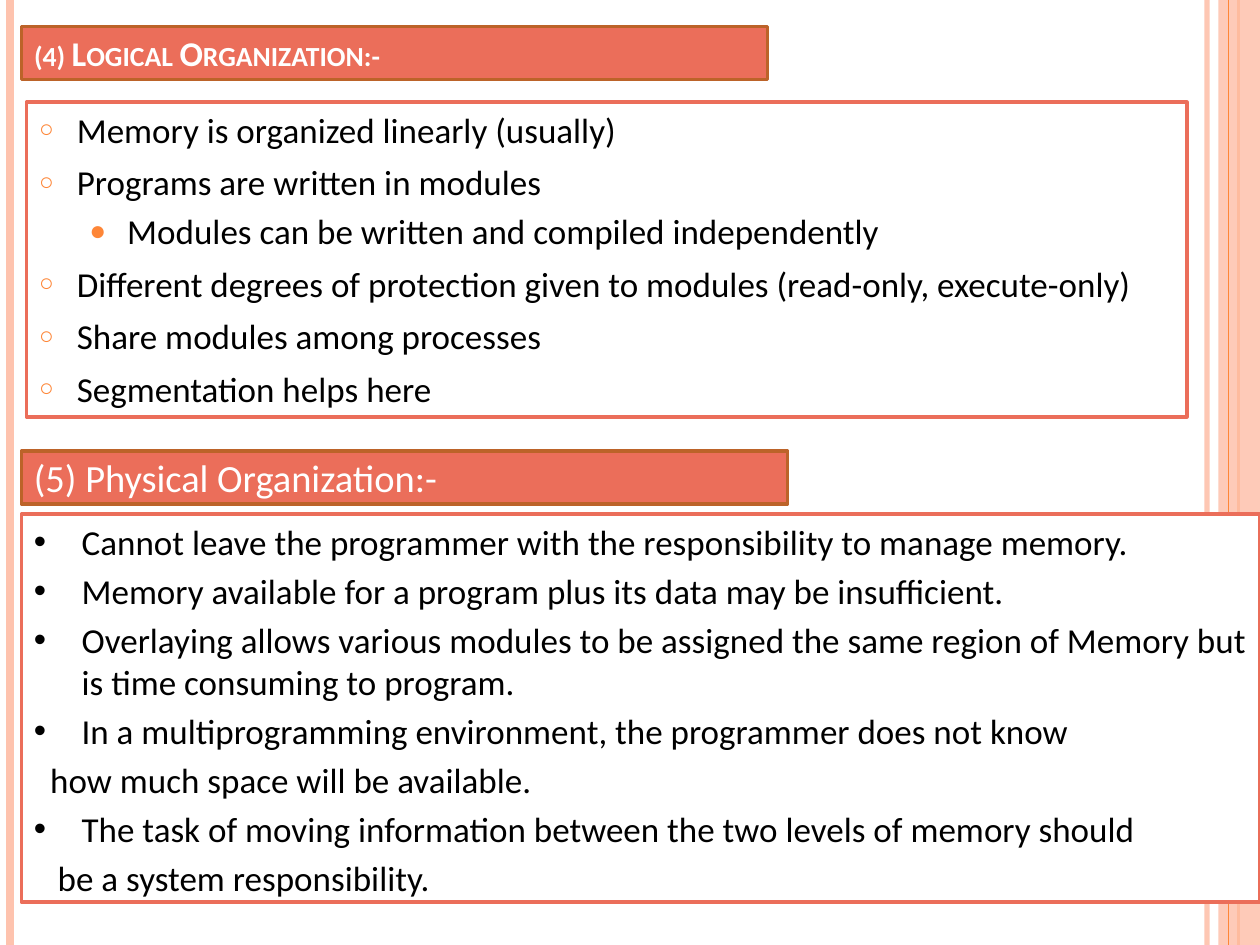
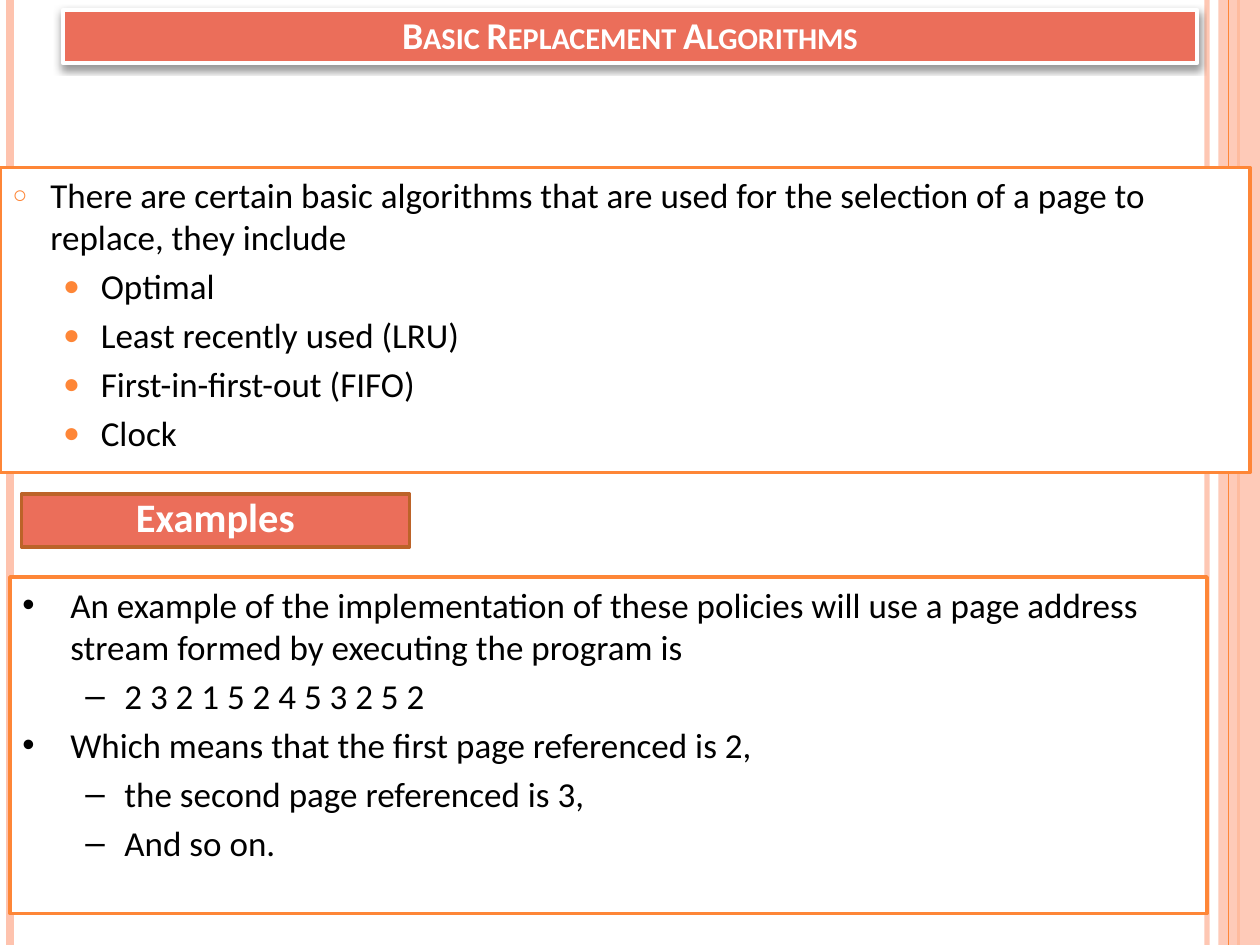
from lxml import etree
from pptx import Presentation
from pptx.dml.color import RGBColor
from pptx.enum.shapes import MSO_CONNECTOR, MSO_SHAPE
from pptx.enum.text import MSO_ANCHOR, MSO_AUTO_SIZE, PP_ALIGN
from pptx.oxml.ns import qn
from pptx.util import Inches, Pt

STRAIGHT, RECT = MSO_CONNECTOR.STRAIGHT, MSO_SHAPE.RECTANGLE
LEFT, CENTER = PP_ALIGN.LEFT, PP_ALIGN.CENTER
TOP, MIDDLE, BOTTOM = MSO_ANCHOR.TOP, MSO_ANCHOR.MIDDLE, MSO_ANCHOR.BOTTOM

WHITE = RGBColor(0xFF, 0xFF, 0xFF)
BLACK = RGBColor(0x00, 0x00, 0x00)
PEACH = RGBColor(0xFE, 0xC3, 0xAE)
ORANGE = RGBColor(0xFE, 0x86, 0x37)
CORAL = RGBColor(0xEB, 0x6E, 0x5A)
BROWN = RGBColor(0xBC, 0x63, 0x29)
FONT = "Calibri"
SLIDE_W, SLIDE_H = 10, 7.5

# level, left margin, first-line indent, space before, bullet, colour, size %
STYLES = {
    "ring": (0, 0.3, -0.3, 6, "○", ORANGE, 70),
    "disc": (1, 0.7, -0.3, 4, "●", ORANGE, 80),
    "dot": (0, 0.38, -0.38, 4, "•", BLACK, 100),
    "dash": (1, 0.81, -0.31, 4, "–", BLACK, 100),
    "plain": (0, 0.13, 0, 4, None, None, None),
    "plain wide": (0, 0.19, 0, 4, None, None, None),
}


def add_xml(parent, tag, **attrs):
    return etree.SubElement(parent, qn(tag), {k: str(v) for k, v in attrs.items()})


def set_alpha(color_format_parent, percent):
    for clr in color_format_parent.iter(qn("a:srgbClr")):
        add_xml(clr, "a:alpha", val=percent * 1000)


def add_side_bands(slide, layout):
    """Draw the vertical bands and move them to the layout, behind all content."""
    def stripe(x, color, width):
        c = slide.shapes.add_connector(STRAIGHT, Inches(x), 0, Inches(x), Inches(SLIDE_H))
        c.line.color.rgb = color
        c.line.width = Pt(width)
        add_xml(c.element.spPr, "a:effectLst")
        return c

    inner = stripe(9.58, PEACH, 3)
    set_alpha(inner.element.spPr, 93)
    left = stripe(0.08, PEACH, 4.5)
    right = stripe(9.83, ORANGE, 1.5)
    band = slide.shapes.add_shape(RECT, Inches(9.67), 0, Inches(0.33), Inches(SLIDE_H))
    band.shadow.inherit = False
    band.fill.solid()
    band.fill.fore_color.rgb = PEACH
    band.line.fill.background()
    set_alpha(band.element.spPr, 87)
    middle = stripe(9.75, ORANGE, 0.75)
    for number, sp in enumerate((inner, left, right, band, middle)):
        sp.element.xpath(".//p:cNvPr")[0].set("id", str(101 + number))
        layout.shapes.element.insert(2 + number, sp.element)


def frame(sp, box, fill, line, width=2):
    sp.left, sp.top, sp.width, sp.height = (Inches(v) for v in box)
    sp.fill.solid()
    sp.fill.fore_color.rgb = fill
    sp.line.color.rgb = line
    sp.line.width = Pt(width)
    sp.shadow.inherit = False
    sp.text_frame.word_wrap = True
    sp.text_frame.auto_size = MSO_AUTO_SIZE.NONE


def add_rect(slide):
    return slide.shapes.add_shape(RECT, 0, 0, 0, 0)


def set_font(p, size, color, bold=False):
    p.font.name, p.font.size, p.font.bold = FONT, Pt(size), bold
    p.font.color.rgb = color


def fill_heading(sp, box, text, size, line=BROWN, width=2, align=LEFT,
                 anchor=MIDDLE, bold=True):
    frame(sp, box, CORAL, line, width)
    sp.text_frame.vertical_anchor = anchor
    p = sp.text_frame.paragraphs[0]
    p.alignment = align
    p.add_run().text = text
    set_font(p, size, WHITE, bold)
    return p


def fill_title(sp, box, text, size, **options):
    p = fill_heading(sp, box, text, size, anchor=BOTTOM, **options)
    p.runs[0]._r.get_or_add_rPr().set("cap", "small")


def add_drop_shadow(sp):
    effects = sp.element.spPr.find(qn("a:effectLst"))
    shadow = add_xml(effects, "a:outerShdw", blurRad=Pt(4), dist=Pt(2),
                     dir=90 * 60000, rotWithShape=0)
    add_xml(shadow, "a:srgbClr", val=BLACK)
    set_alpha(shadow, 40)


def style_item(p, style, first):
    level, margin, indent, before, bullet, color, percent = STYLES[style]
    p.level = level
    p.alignment = LEFT
    p.space_before = Pt(0 if first else before)
    pPr = p._p.get_or_add_pPr()
    pPr.set("marL", str(Inches(margin)))
    pPr.set("indent", str(Inches(indent)))
    if bullet:
        add_xml(add_xml(pPr, "a:buClr"), "a:srgbClr", val=color)
        add_xml(pPr, "a:buSzPct", val=percent * 1000)
        add_xml(pPr, "a:buFont", typeface="Arial")
        add_xml(pPr, "a:buChar", char=bullet)
    else:
        add_xml(pPr, "a:buNone")
    set_font(p, 20, BLACK)


def fill_list(sp, box, line, items):
    frame(sp, box, WHITE, line)
    tf = sp.text_frame
    tf.vertical_anchor = TOP
    for i, (style, text) in enumerate(items):
        p = tf.add_paragraph() if i else tf.paragraphs[0]
        p.add_run().text = text
        style_item(p, style, first=i == 0)


def build_organization(slide):
    title, body = slide.placeholders
    fill_title(title, (0.17, 0.21, 5.92, 0.42), "(4) Logical Organization:-", 19.8)
    fill_list(body, (0.21, 0.81, 9.21, 2.5), CORAL, [
        ("ring", "Memory is organized linearly (usually)"),
        ("ring", "Programs are written in modules"),
        ("disc", "Modules can be written and compiled independently"),
        ("ring", "Different degrees of protection given to modules (read-only, execute-only)"),
        ("ring", "Share modules among processes"),
        ("ring", "Segmentation helps here"),
    ])
    fill_heading(add_rect(slide), (0.17, 3.58, 6.08, 0.42),
                 "(5) Physical Organization:-", 22, bold=False)
    fill_list(add_rect(slide), (0.17, 4.08, 9.83, 3.08), CORAL, [
        ("dot", "Cannot leave the programmer with the responsibility to manage memory."),
        ("dot", "Memory available for a program plus its data may be insufficient."),
        ("dot", "Overlaying allows various modules to be assigned the same region of "
                "Memory but is time consuming to program."),
        ("dot", "In a multiprogramming environment, the programmer does not know"),
        ("plain", "how much space will be available."),
        ("dot", "The task of moving information between the two levels of memory should"),
        ("plain wide", "be a system responsibility."),
    ])


def build_replacement(slide):
    title, body = slide.placeholders
    fill_title(title, (0.5, 0.08, 9, 0.42), "Basic Replacement Algorithms", 21.6,
               line=WHITE, width=2.75, align=CENTER)
    add_drop_shadow(title)
    fill_list(body, (0, 1.33, 9.92, 2.42), ORANGE, [
        ("ring", "There are certain basic algorithms that are used for the selection "
                 "of a page to replace, they include"),
        ("disc", "Optimal"),
        ("disc", "Least recently used (LRU)"),
        ("disc", "First-in-first-out (FIFO)"),
        ("disc", "Clock"),
    ])
    p = fill_heading(add_rect(slide), (0.17, 3.92, 3.08, 0.42), "Examples", 23.1,
                     align=CENTER)
    p.line_spacing = 0.8
    fill_list(add_rect(slide), (0.08, 4.58, 9.5, 2.67), ORANGE, [
        ("dot", "An example of the implementation of these policies will use a page "
                "address stream formed by executing the program is"),
        ("dash", "2 3 2 1 5 2 4 5 3 2 5 2"),
        ("dot", "Which means that the first page referenced is 2,"),
        ("dash", "the second page referenced is 3,"),
        ("dash", "And so on."),
    ])


def main():
    prs = Presentation()
    prs.slide_width, prs.slide_height = Inches(SLIDE_W), Inches(SLIDE_H)
    layout = prs.slide_layouts[1]
    slides = [prs.slides.add_slide(layout) for _ in range(2)]
    add_side_bands(slides[0], layout)
    build_organization(slides[0])
    build_replacement(slides[1])
    prs.save("out.pptx")


if __name__ == "__main__":
    main()
